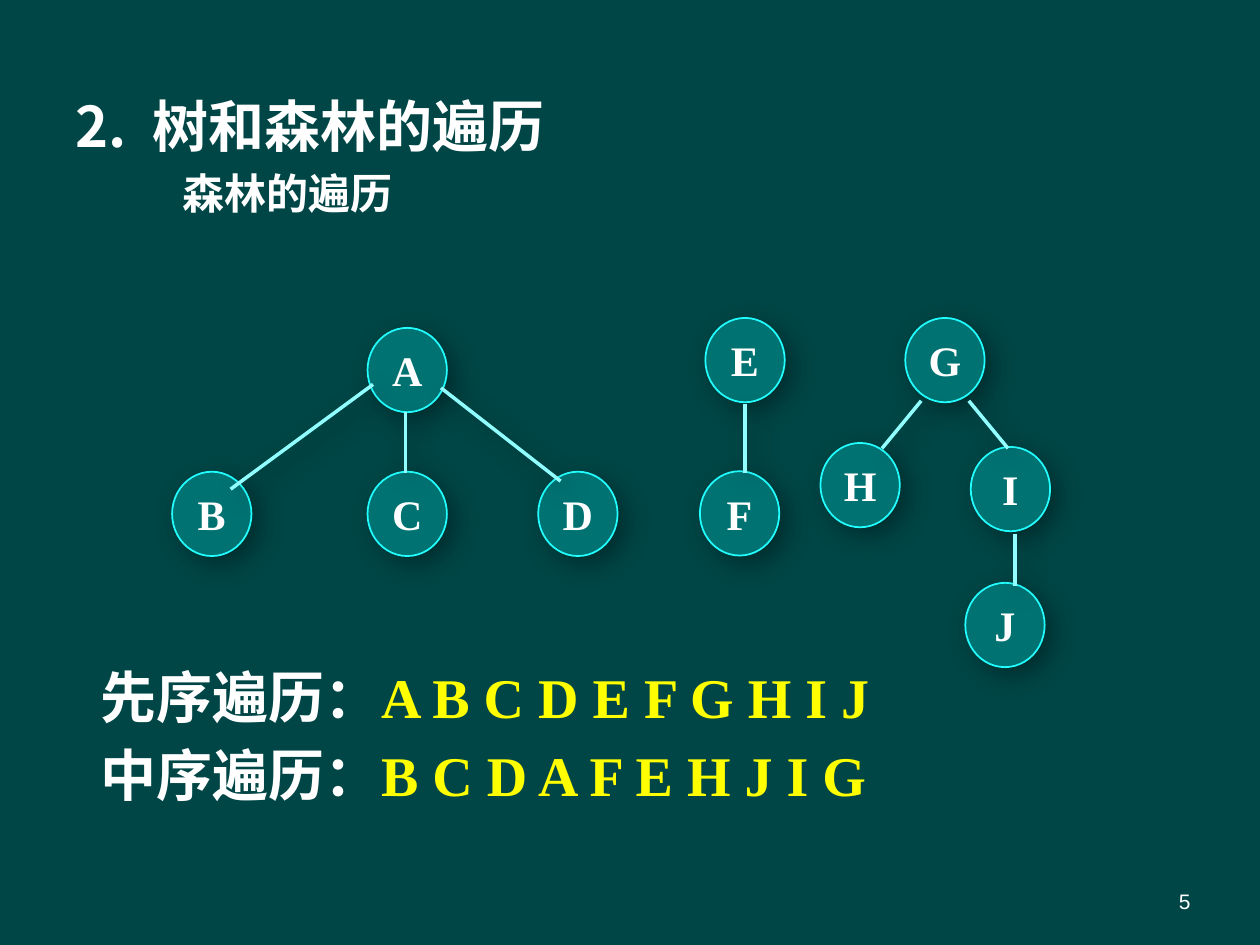
"""Build a slide on the traversal of a forest of three trees."""
from lxml import etree
from pptx import Presentation
from pptx import util as u
from pptx.dml import color
from pptx.enum import shapes, text
from pptx.oxml import ns

SANS, SERIF = "Noto Sans CJK SC", "Times New Roman"
WHITE, YELLOW = "FFFFFF", "FFFF00"
NODE_WIDTH, NODE_HEIGHT = 1.6, 1.7

HEADING = "2.\t树和森林的遍历"
SUBHEADING = "森林的遍历"
ORDERS = [
    ("先序遍历：", "A B C D E F G H I J"),
    ("中序遍历：", "B C D A F E H J I G"),
]
TREES = [
    {
        "nodes": {"A": (7.41, 6.61), "B": (3.47, 9.51), "C": (7.41, 9.51), "D": (10.85, 9.51)},
        "edges": [
            (8.17, 8.31, 8.17, 9.53),
            (7.52, 7.75, 4.65, 9.86),
            (8.89, 7.82, 11.3, 9.7),
        ],
    },
    {
        "nodes": {"E": (14.22, 6.41), "F": (14.11, 9.5)},
        "edges": [(15.02, 8.15, 15.02, 9.53)],
    },
    {
        "nodes": {"G": (18.25, 6.41), "H": (16.54, 8.93), "I": (19.57, 9.01), "J": (19.46, 11.75)},
        "edges": [
            (18.57, 8.08, 17.78, 9.04),
            (19.53, 8.08, 20.32, 9.04),
            (20.46, 10.77, 20.46, 11.81),
        ],
    },
]


def rgb(value):
    return color.RGBColor.from_string(value)


def style(span, size, face, ink=WHITE, bold=True):
    span.font.size = u.Pt(size)
    span.font.name = face
    span.font.bold = bold
    span.font.color.rgb = rgb(ink)
    east = etree.SubElement(span.font._element, ns.qn("a:ea"))
    east.set("typeface", SANS)


def indent(para, left, first=0):
    props = para._p.get_or_add_pPr()
    props.set("marL", str(u.Cm(left)))
    props.set("indent", str(u.Cm(first)))


def cast_shadow(shape):
    effects = etree.SubElement(shape._element.spPr, ns.qn("a:effectLst"))
    shadow = etree.SubElement(
        effects, ns.qn("a:outerShdw"), blurRad=str(u.Pt(15)),
        dist=str(u.Pt(6.2)), dir="2700000", algn="tl", rotWithShape="0")
    ink = etree.SubElement(shadow, ns.qn("a:srgbClr"), val="000000")
    etree.SubElement(ink, ns.qn("a:alpha"), val="36000")


def add_box(page, left, top, width, height):
    box = page.shapes.add_textbox(u.Cm(left), u.Cm(top), u.Cm(width), u.Cm(height))
    box.text_frame.word_wrap = True
    return box.text_frame


def add_headings(page):
    frame = add_box(page, 1.27, 1.73, 22.86, 4.6)
    frame.text = HEADING
    title = frame.paragraphs[0]
    subtitle = frame.add_paragraph()
    subtitle.text = SUBHEADING
    subtitle.level = 1
    subtitle.space_before = u.Pt(5)
    for para, size, left, first in ((title, 32, 1.56, -1.56), (subtitle, 24, 2.16, 0)):
        indent(para, left, first)
        style(para.runs[0], size, SANS)


def add_orders(page):
    frame = add_box(page, 1.78, 13.23, 23.62, 4.9)
    for index, parts in enumerate(ORDERS):
        para = frame.add_paragraph() if index else frame.paragraphs[0]
        indent(para, 0.97, -0.97)
        para.space_after = u.Pt(6)
        for words, ink in zip(parts, (WHITE, YELLOW)):
            span = para.add_run()
            span.text = words
            style(span, 32, SERIF, ink)


def add_node(group, label, left, top):
    node = group.shapes.add_shape(
        shapes.MSO_SHAPE.OVAL, u.Cm(left), u.Cm(top), u.Cm(NODE_WIDTH), u.Cm(NODE_HEIGHT))
    node.fill.solid()
    node.fill.fore_color.rgb = rgb("007272")
    node.line.color.rgb = rgb("23FFFE")
    node.line.width = u.Pt(1)
    cast_shadow(node)
    frame = node.text_frame
    frame.word_wrap = False
    frame.vertical_anchor = text.MSO_ANCHOR.MIDDLE
    frame.text = label
    para = frame.paragraphs[0]
    para.alignment = text.PP_ALIGN.CENTER
    style(para.runs[0], 24, SERIF)


def add_edge(group, ends):
    edge = group.shapes.add_connector(
        shapes.MSO_CONNECTOR.STRAIGHT, *(u.Cm(end) for end in ends))
    edge.line.color.rgb = rgb("91FFFF")
    edge.line.width = u.Pt(2)
    cast_shadow(edge)


def add_page_number(page):
    frame = add_box(page, 18.21, 17.65, 5.92, 1.02)
    frame.margin_left = frame.margin_right = u.Cm(0.13)
    frame.vertical_anchor = text.MSO_ANCHOR.MIDDLE
    frame.text = "5"
    para = frame.paragraphs[0]
    para.alignment = text.PP_ALIGN.RIGHT
    style(para.runs[0], 12, "Arial", bold=False)


def main():
    deck = Presentation()
    deck.slide_width, deck.slide_height = u.Cm(25.4), u.Cm(19.05)
    page = deck.slides.add_slide(deck.slide_layouts[6])
    page.background.fill.solid()
    page.background.fill.fore_color.rgb = rgb("004646")
    add_headings(page)
    add_page_number(page)
    add_orders(page)
    for tree in TREES:
        group = page.shapes.add_group_shape()
        for label, (left, top) in tree["nodes"].items():
            add_node(group, label, left, top)
        for ends in tree["edges"]:
            add_edge(group, ends)
    deck.save("out.pptx")


if __name__ == "__main__":
    main()
